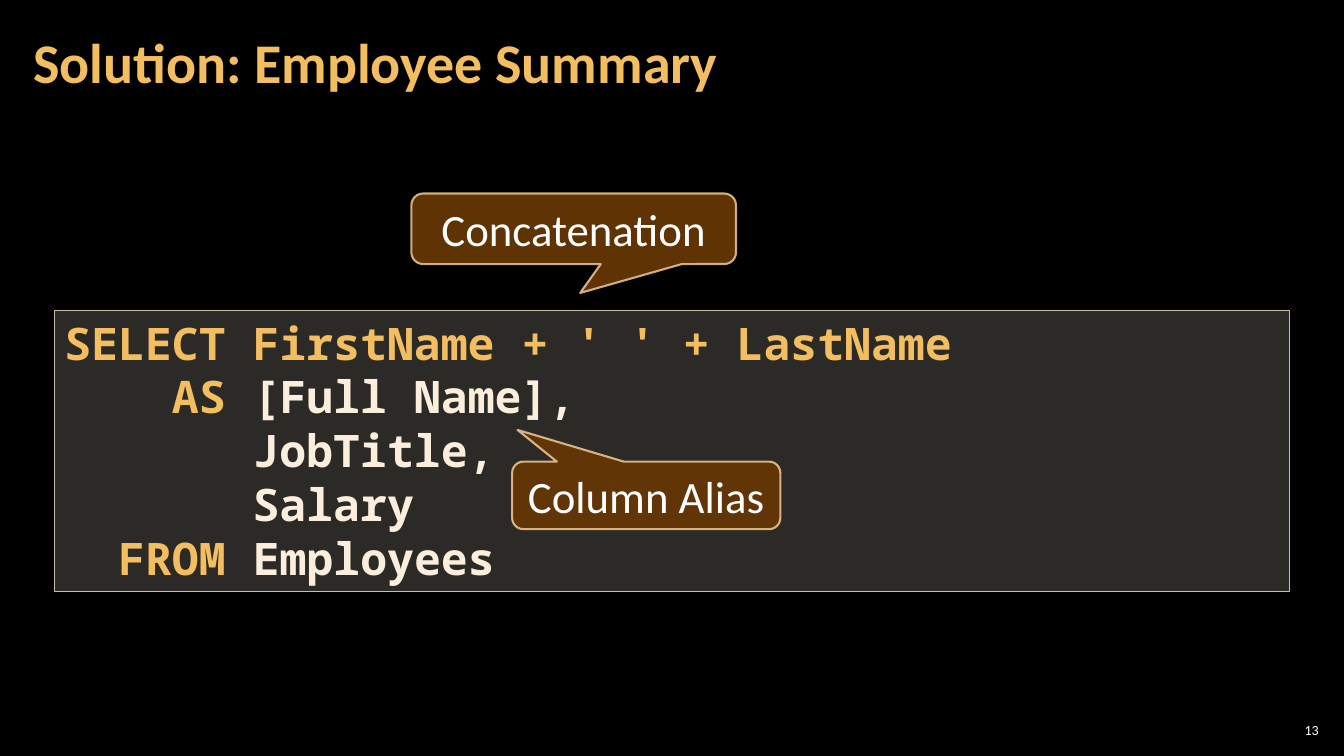
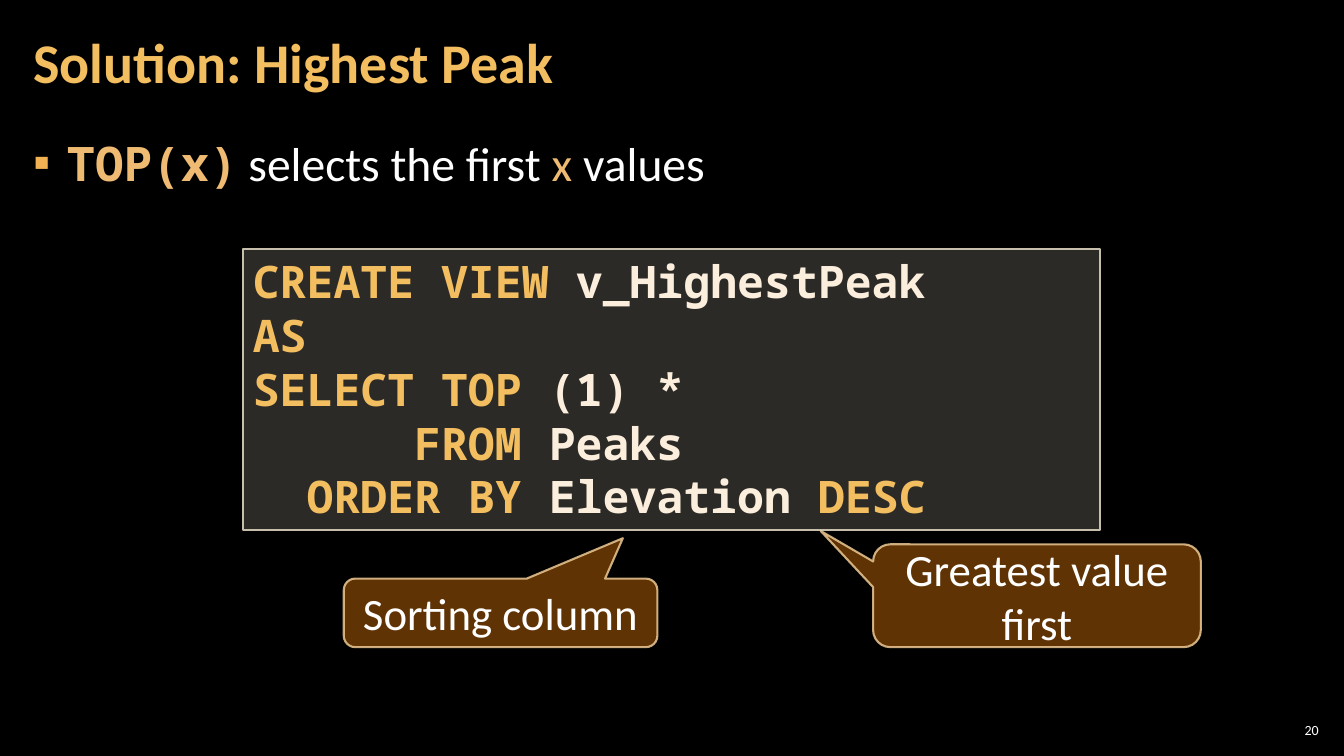
"""Builds two SQL solution slides with code boxes and callouts."""
from dataclasses import dataclass

from lxml import etree
from pptx import Presentation
from pptx import util as u
from pptx.dml.color import RGBColor
from pptx.enum import shapes, text
from pptx.oxml.ns import qn

PX = 9144
INK = {
    "back": "000000", "title": "F3BE60", "key": "F3BE60", "name": "FBEEDC",
    "plain": "FFFFFF", "term": "EFBB72", "mark": "F2B254",
    "panel": "D9D5C7", "edge": "C7BFAC", "note": "663606", "rim": "F8D49E",
}
SANS, MONO = "Calibri", "Noto Sans Mono"
CHAR = 19.2
SHAPE = shapes.MSO_SHAPE
ALIGN = text.PP_ALIGN
MID = text.MSO_ANCHOR.MIDDLE


@dataclass(frozen=True)
class Box:
    x: int
    y: int
    w: int
    h: int

    def emu(self) -> tuple:
        return tuple(u.Emu(n * PX) for n in (self.x, self.y, self.w, self.h))


@dataclass(frozen=True)
class Font:
    face: str
    size: int
    bold: bool = False


@dataclass(frozen=True)
class Line:
    indent: int
    runs: tuple


@dataclass(frozen=True)
class Note:
    label: str
    box: Box
    tip: tuple


@dataclass(frozen=True)
class Page:
    title: str
    number: int
    panel: Box
    code: tuple
    notes: tuple
    point: tuple = ()


HEAD = Font(SANS, 40, True)
CODE = Font(MONO, 32, True)
CALL = Font(SANS, 32)
FOOT = Font(SANS, 10)
BODY = Font(SANS, 34)
TERM = Font(MONO, 34, True)

PAGES = (
    Page(
        "Solution: Employee Summary", 13, Box(54, 308, 1225, 279),
        (
            Line(0, (("SELECT FirstName + ' ' + LastName", "key"),)),
            Line(4, (("AS", "key"), (" [Full Name],", "name"))),
            Line(7, (("JobTitle,", "name"),)),
            Line(7, (("Salary", "name"),)),
            Line(2, (("FROM", "key"), (" Employees", "name"))),
        ),
        (
            Note("Concatenation", Box(408, 192, 322, 70), (0.02, 0.91)),
            Note("Column Alias", Box(508, 458, 266, 67), (-0.48, -0.97)),
        ),
    ),
    Page(
        "Solution: Highest Peak", 20, Box(241, 247, 850, 279),
        (
            Line(0, (("CREATE VIEW ", "key"), ("v_HighestPeak", "name"))),
            Line(0, (("AS", "key"),)),
            Line(0, (("SELECT TOP ", "key"), ("(1) *", "name"))),
            Line(6, (("FROM", "key"), (" Peaks", "name"))),
            Line(2, (("ORDER BY ", "key"), ("Elevation ", "name"),
                     ("DESC", "key"))),
        ),
        (
            Note("Greatest value first", Box(866, 540, 325, 102),
                 (-0.66, -0.63)),
            Note("Sorting column", Box(341, 574, 311, 68), (0.39, -1.09)),
        ),
        (
            ("TOP(x)", "term", TERM), (" selects the first ", "plain", BODY),
            ("x", "term", BODY), (" values", "plain", BODY),
        ),
    ),
)


def tint(name: str) -> RGBColor:
    return RGBColor.from_string(INK[name])


def add_run(para, words: str, ink: str, font: Font) -> None:
    run = para.add_run()
    run.text = words
    run.font.name = font.face
    run.font.size = u.Pt(font.size)
    run.font.bold = font.bold
    run.font.color.rgb = tint(ink)


def set_indent(para, left: int, first: int = 0):
    props = para._p.get_or_add_pPr()
    props.set("marL", str(left))
    props.set("indent", str(first))
    return props


def add_text(slide, box: Box, side: int):
    frame = slide.shapes.add_textbox(*box.emu()).text_frame
    frame.word_wrap = True
    frame.margin_left = frame.margin_right = u.Emu(side * PX)
    frame.margin_top = frame.margin_bottom = u.Emu(4 * PX)
    return frame


def fade(shape, route: str, share: int) -> None:
    for color in shape._element.spPr.xpath(route + "a:solidFill/a:srgbClr"):
        etree.SubElement(color, qn("a:alpha")).set("val", str(share * 1000))


def add_shape(slide, kind, box: Box, fill: str, line: str, width: float):
    shape = slide.shapes.add_shape(kind, *box.emu())
    shape.shadow.inherit = False
    shape.fill.solid()
    shape.fill.fore_color.rgb = tint(fill)
    shape.line.color.rgb = tint(line)
    shape.line.width = u.Pt(width)
    shape.text_frame.word_wrap = True
    return shape


def add_title(slide, words: str) -> None:
    frame = add_text(slide, Box(21, 4, 1047, 121), 12)
    frame.vertical_anchor = MID
    para = frame.paragraphs[0]
    para.line_spacing = 0.9
    add_run(para, words, "title", HEAD)


def add_number(slide, number: int) -> None:
    frame = add_text(slide, Box(1265, 714, 47, 21), 4)
    frame.vertical_anchor = MID
    para = frame.paragraphs[0]
    para.alignment = ALIGN.RIGHT
    add_run(para, str(number), "plain", FOOT)


def add_point(slide, runs: tuple) -> None:
    para = add_text(slide, Box(21, 126, 1291, 609), 12).paragraphs[0]
    para.line_spacing = 1.05
    para.space_before = para.space_after = u.Pt(6)
    props = set_indent(para, 33 * PX, -33 * PX)
    color = etree.SubElement(props, qn("a:buClr"))
    etree.SubElement(color, qn("a:srgbClr")).set("val", INK["mark"])
    etree.SubElement(props, qn("a:buFont")).set("typeface", SANS)
    etree.SubElement(props, qn("a:buChar")).set("char", "▪")
    for words, ink, font in runs:
        add_run(para, words, ink, font)


def add_code(slide, box: Box, lines: tuple) -> None:
    shape = add_shape(slide, SHAPE.RECTANGLE, box, "panel", "edge", 1)
    fade(shape, "", 20)
    frame = shape.text_frame
    frame.vertical_anchor = text.MSO_ANCHOR.TOP
    frame.auto_size = text.MSO_AUTO_SIZE.SHAPE_TO_FIT_TEXT
    for index, line in enumerate(lines):
        para = frame.add_paragraph() if index else frame.paragraphs[0]
        para.alignment = ALIGN.LEFT
        set_indent(para, u.Pt(CHAR * line.indent))
        for words, ink in line.runs:
            add_run(para, words, ink, CODE)


def add_note(slide, note: Note) -> None:
    kind = SHAPE.ROUNDED_RECTANGULAR_CALLOUT
    shape = add_shape(slide, kind, note.box, "note", "rim", 1.5)
    shape.adjustments[0], shape.adjustments[1] = note.tip
    fade(shape, "", 95)
    fade(shape, "a:ln/", 80)
    shape.text_frame.vertical_anchor = MID
    para = shape.text_frame.paragraphs[0]
    para.alignment = ALIGN.CENTER
    add_run(para, note.label, "plain", CALL)


def add_page(deck, page: Page) -> None:
    slide = deck.slides.add_slide(deck.slide_layouts[6])
    slide.background.fill.solid()
    slide.background.fill.fore_color.rgb = tint("back")
    add_number(slide, page.number)
    if page.point:
        add_point(slide, page.point)
    add_title(slide, page.title)
    add_code(slide, page.panel, page.code)
    for note in page.notes:
        add_note(slide, note)


def main() -> None:
    deck = Presentation()
    deck.slide_width, deck.slide_height = u.Emu(1333 * PX), u.Emu(750 * PX)
    for page in PAGES:
        add_page(deck, page)
    deck.save("out.pptx")


if __name__ == "__main__":
    main()
